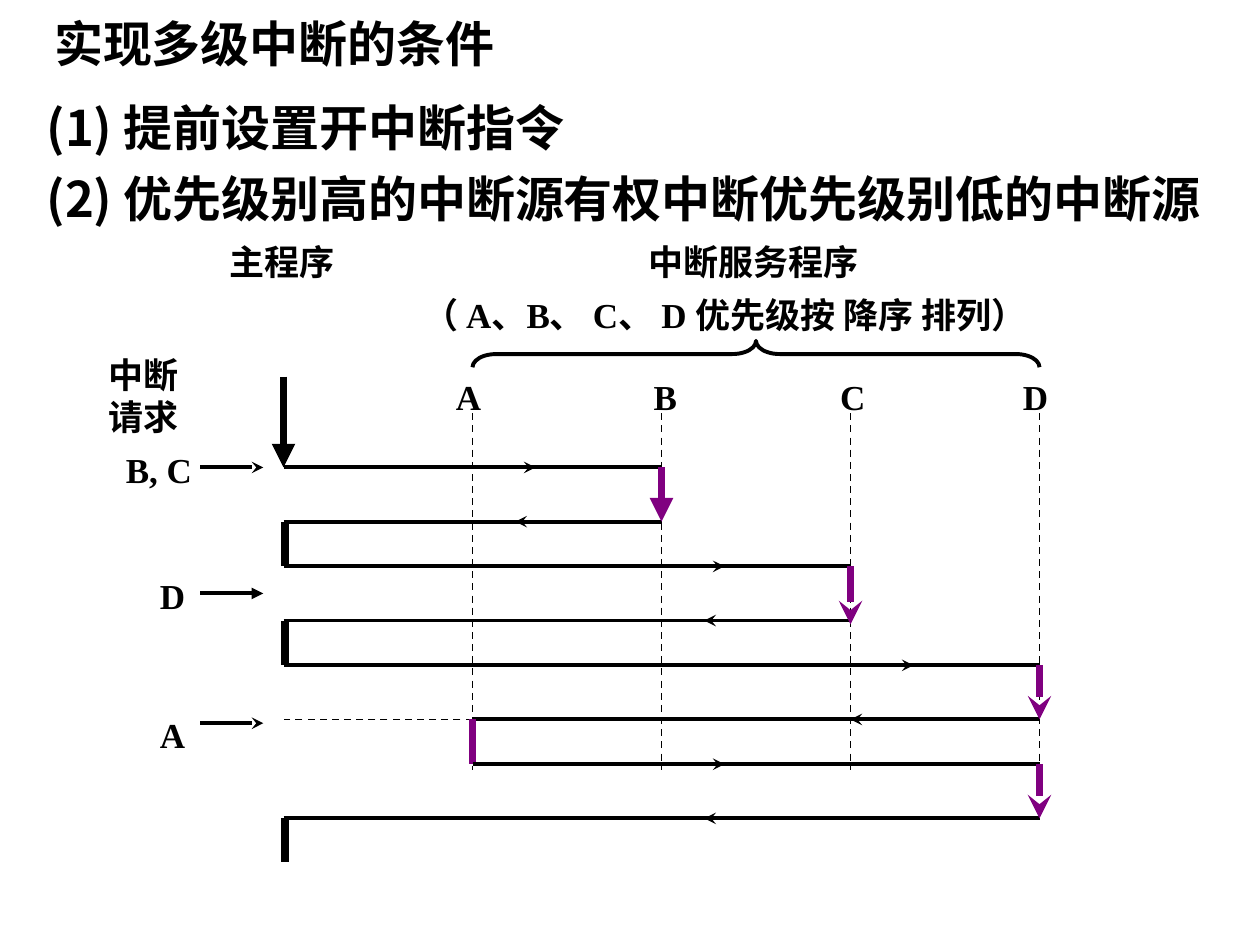
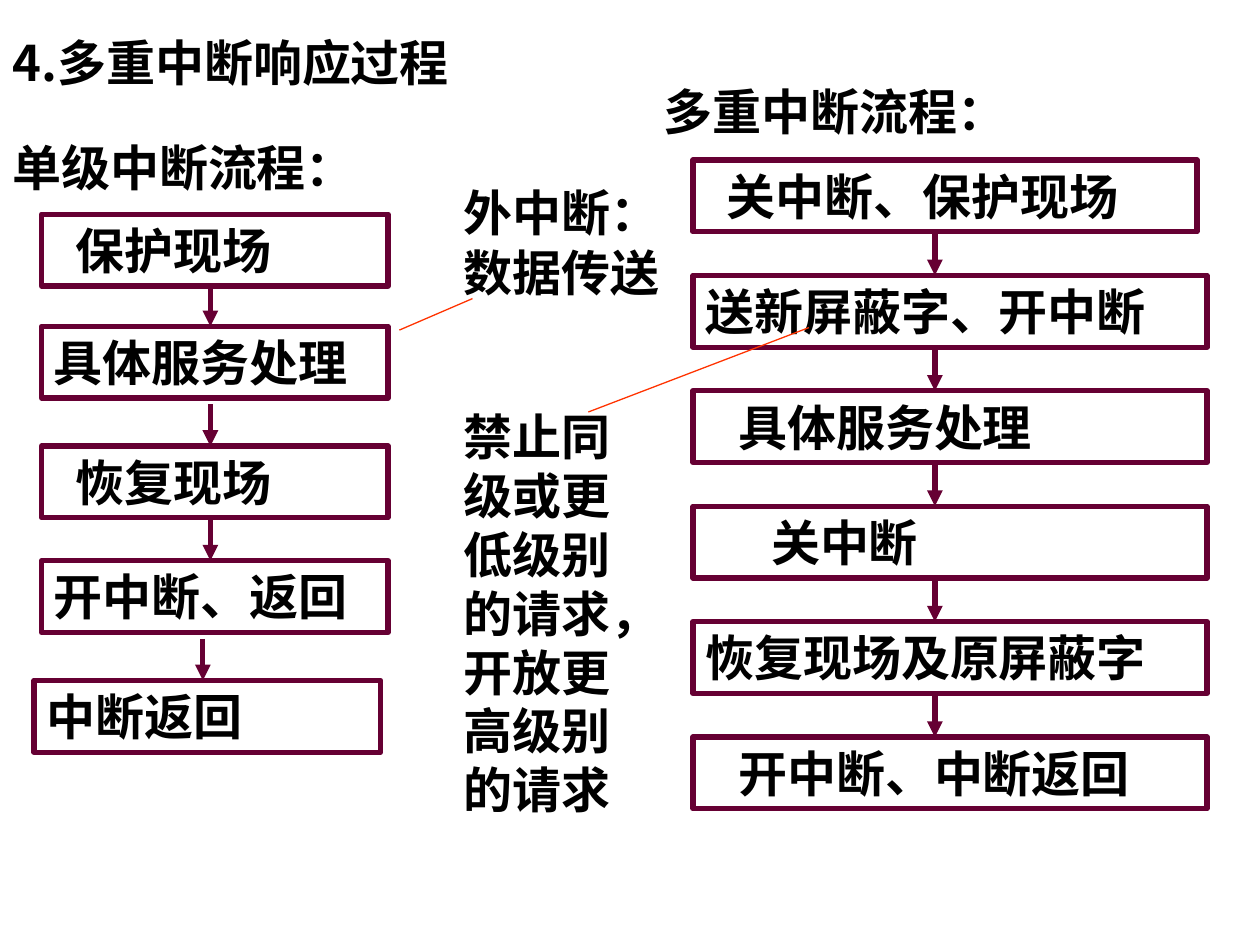
import pptx
import pptx.util
import pptx.dml.color
import pptx.enum.dml
import pptx.enum.shapes
import pptx.enum.text
import pptx.oxml.ns
from lxml import etree

COLORS = {"ink": "000000", "handler": "800080", "frame": "660033", "pointer": "FF3300"}
HEADING_FONT, LABEL_FONT = "Noto Sans CJK SC", "Times New Roman"
HEADING_SIZE, LABEL_SIZE = 28, 20
W, H = 10, 7.5
LINE_BOX = 0.57  # height of a one-line heading or step box
qn = pptx.oxml.ns.qn
Inches, Pt = pptx.util.Inches, pptx.util.Pt
RGB = pptx.dml.color.RGBColor.from_string
RECTANGLE = pptx.enum.shapes.MSO_SHAPE.RECTANGLE

deck = pptx.Presentation()
deck.slide_width, deck.slide_height = Inches(W), Inches(H)


def write(shape, place, lines, size=HEADING_SIZE, font=HEADING_FONT, wrap=True,
          indent=0, gap=0, spacing=None):
    """Move a shape to place and fill it with left-aligned bold lines."""
    shape.left, shape.top, shape.width, shape.height = map(Inches, place)
    frame = shape.text_frame
    frame.auto_size = pptx.enum.text.MSO_AUTO_SIZE.NONE
    frame.word_wrap = wrap
    frame.vertical_anchor = pptx.enum.text.MSO_ANCHOR.TOP
    frame.margin_left, frame.margin_right = Inches(0.1 + indent), Inches(0.1)
    frame.margin_top = frame.margin_bottom = Inches(0.05)
    frame.text = "\n".join(lines)
    for number, paragraph in enumerate(frame.paragraphs):
        paragraph.alignment = pptx.enum.text.PP_ALIGN.LEFT
        paragraph.space_before = Pt(gap if number else 0)
        if spacing:
            paragraph.line_spacing = spacing
        properties = paragraph._p.get_or_add_pPr()
        properties.set("marL", "0")
        properties.set("indent", "0")
        etree.SubElement(properties, qn("a:buNone"))
        paragraph.font.size, paragraph.font.bold = Pt(size), True
        paragraph.font.color.rgb = RGB(COLORS["ink"])
        paragraph.font.name = font
        east_asian = etree.SubElement(properties.find(qn("a:defRPr")), qn("a:ea"))
        east_asian.set("typeface", HEADING_FONT)


def draw_line(slide, x1, y1, x2, y2, color="ink", width=2.25, head=None, dashed=False):
    """Draw a straight line, with an arrowhead at its end if head is given."""
    line = slide.shapes.add_connector(pptx.enum.shapes.MSO_CONNECTOR.STRAIGHT,
                                      *map(Inches, (x1, y1, x2, y2)))
    line.line.color.rgb = RGB(COLORS[color])
    line.line.width = Pt(width)
    if dashed:
        line.line.dash_style = pptx.enum.dml.MSO_LINE.DASH
    if head:
        etree.SubElement(line.line._get_or_add_ln(), qn("a:tailEnd")).set("type", head)
    etree.SubElement(line._element.spPr, qn("a:effectLst"))


# Slide 1: conditions for multilevel interrupts
nesting = deck.slides.add_slide(deck.slide_layouts[1])
write(nesting.shapes.title, (0.33, 0.06, 6.77, LINE_BOX), ["实现多级中断的条件"])
write(nesting.placeholders[1], (0.27, 0.72, W - 0.27, 2 * LINE_BOX),
      ["(1) 提前设置开中断指令", "(2) 优先级别高的中断源有权中断优先级别低的中断源"], gap=7.4)

# Columns: main program, then one per service routine
main = 0.225 * W
column = {name: main + 0.15 * W * number for number, name in enumerate("ABCD", 1)}
first_row, row_step, run_time, resume_time = 3.71, 0.785, 0.43, 0.35

# Labels
labels = [
    (1.72, 1.86, ["主程序"]), (5.05, 1.86, ["中断服务程序"]),
    (3.26, 2.28, ["（ A、B、 C、 D 优先级按 降序 排列）"]),
    (0.76, 2.76, ["中断", "请求"]),
    (0.9, 3.51, ["B, C"]), (1.17, 4.51, ["D"]), (1.17, 5.61, ["A"]),
    (3.52, 2.93, ["A"]), (5.09, 2.93, ["B"]), (6.57, 2.93, ["C"]), (8.02, 2.93, ["D"]),
]
for x, y, lines in labels:
    label_width = 0.2 + max(map(len, lines)) * LABEL_SIZE / 72
    write(nesting.shapes.add_textbox(0, 0, 0, 0), (x, y, label_width, 0.1 + 0.33 * len(lines)),
          lines, LABEL_SIZE, LABEL_FONT, wrap=False)

# Brace over the service routines, a left brace turned upright
span, depth = column["D"] - column["A"], 0.21
brace = nesting.shapes.add_shape(
    pptx.enum.shapes.MSO_SHAPE.LEFT_BRACE, Inches((column["A"] + column["D"] - depth) / 2),
    Inches(2.81 - span / 2), Inches(depth), Inches(span))
brace.rotation = 90
brace.adjustments[0] = 0.89
brace.shadow.inherit = False
brace.fill.background()
brace.line.color.rgb = RGB(COLORS["ink"])
brace.line.width = Pt(2.25)

# Time axes, with the return to the main program that is not taken
for x in column.values():
    draw_line(nesting, x, 3.28, x, 6.11, width=1, dashed=True)
draw_line(nesting, column["A"], 5.71, main, 5.71, width=1, dashed=True)

# Interrupt requests and start of the main program
for y, head in [(3.71, "stealth"), (4.71, "triangle"), (5.74, "stealth")]:
    draw_line(nesting, 1.59, y, 2.09, y, head=head)
draw_line(nesting, main, 2.99, main, first_row, width=4.5, head="triangle")

# Each call: start, routine, call arrow, return column, return arrow, head
calls = [
    (main, "B", column["A"], main, 4.59, "triangle"),
    (main, "C", column["B"], main, 6.09, "stealth"),
    (main, "D", column["C"], column["A"], 7.25, "stealth"),
    (column["A"], "D", column["B"], main, 6.09, "stealth"),
]
for number, (start, routine, call_arrow, back, back_arrow, head) in enumerate(calls):
    called = first_row + row_step * number
    returned = called + run_time
    x = column[routine]
    draw_line(nesting, start, called, x, called)
    draw_line(nesting, call_arrow, called, call_arrow + 0.5, called, head="stealth")
    draw_line(nesting, back, returned, x, returned)
    draw_line(nesting, back_arrow, returned, back_arrow - 0.5, returned, head="stealth")
    draw_line(nesting, x, called, x, returned + (0.03 if routine == "C" else 0),
              "handler", 4.5, head)
    resumed = back + 0.01 if back == main else back
    draw_line(nesting, resumed, returned, resumed, returned + resume_time,
              "ink" if back == main else "handler", 4.5)

# Slide 2: response to nested interrupts
response = deck.slides.add_slide(deck.slide_layouts[5])
heading_width = 4.83
write(response.shapes.title, (0, 0.21, heading_width, LINE_BOX), ["4.多重中断响应过程"])
for x, y, heading in [(0, 1.04, "单级中断流程："), (W - heading_width, 0.6, "多重中断流程：")]:
    write(response.shapes.add_textbox(0, 0, 0, 0), (x, y, heading_width, LINE_BOX), [heading])

# Steps of both flows: left, top, width, text, indent
single_steps = [
    (0.33, 1.7, 2.75, "保护现场", 0.17), (0.33, 2.59, 2.75, "具体服务处理", 0),
    (0.33, 3.54, 2.75, "恢复现场", 0.17), (0.33, 4.45, 2.75, "开中断、返回", 0),
    (0.27, 5.4, 2.75, "中断返回", 0),
]
nested_texts = [("关中断、保护现场", 0.17), ("送新屏蔽字、开中断", 0), ("具体服务处理", 0.26),
                ("关中断", 0.52), ("恢复现场及原屏蔽字", 0), ("开中断、中断返回", 0.26)]
nested_steps = [(5.5, 1.27 + 0.916 * number, 4.08 if number else 4, text, indent)
                for number, (text, indent) in enumerate(nested_texts)]

# Boxes, each entered by an arrow from the one above
for steps, arrow_offset in [(single_steps, 1.34), (nested_steps, 1.92)]:
    for number, (x, y, width, text, indent) in enumerate(steps):
        step = response.shapes.add_shape(RECTANGLE, 0, 0, 0, 0)
        step.shadow.inherit = False
        step.fill.background()
        step.line.color.rgb = RGB(COLORS["frame"])
        step.line.width = Pt(3)
        write(step, (x, y, width, LINE_BOX), [text], indent=indent)
        if number:
            draw_line(response, x + arrow_offset, y - 0.33, x + arrow_offset, y,
                      "frame", 3, "triangle")

# Remarks and their pointers
write(response.shapes.add_textbox(0, 0, 0, 0), (3.58, 1.6, 2.25, 0.81),
      ["外中断：", "数据传送"], gap=17.5, spacing=0.5)
write(response.shapes.add_textbox(0, 0, 0, 0), (3.58, 3.18, 1.67, 3.37),
      ["禁止同级或更低级别的请求，开放更高级别的请求"])
draw_line(response, 3.17, 2.62, 3.75, 2.37, "pointer", 0.75)
draw_line(response, 4.67, 3.27, 6.42, 2.6, "pointer", 0.75)

deck.save("out.pptx")
